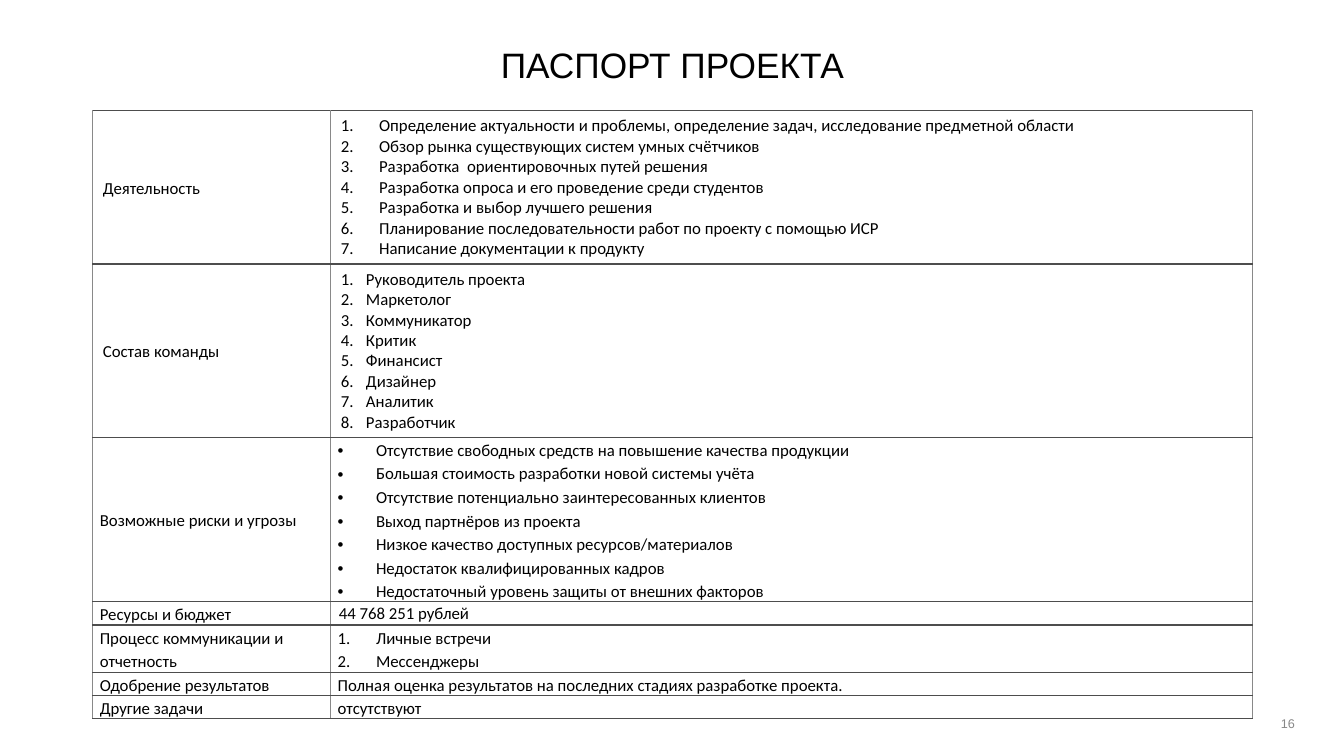
"""Build the project passport slide: a title, a two-column table and a page number."""
from lxml.etree import SubElement
from pptx import Presentation
from pptx.dml.color import RGBColor
from pptx.enum.text import MSO_ANCHOR, PP_ALIGN
from pptx.oxml.ns import qn
from pptx.util import Inches, Pt

TITLE = "ПАСПОРТ ПРОЕКТА"
PAGE_NUMBER = "16"
ROOMY, TIGHT, BUDGET = (0.1, 0.05), (0.07, 0), (0.08, 0.01)
NUMBERS, DOTS = "buAutoNum", "buChar"
COLUMN_WIDTHS = (2.36, 9.14)
BORDERS = {"lnL": "898989", "lnR": "898989", "lnT": "4D4D4D", "lnB": "4D4D4D"}

# label, lines, row height, label margins, line margins, list kind, indent, line spacing
ROWS = [
    ("Деятельность", [
        "Определение актуальности и проблемы, определение задач, исследование предметной области",
        "Обзор рынка существующих систем умных счётчиков",
        "Разработка  ориентировочных путей решения",
        "Разработка опроса и его проведение среди студентов",
        "Разработка и выбор лучшего решения",
        "Планирование последовательности работ по проекту с помощью ИСР",
        "Написание документации к продукту",
    ], 1.52, ROOMY, ROOMY, NUMBERS, 0.38, 1.0),
    ("Состав команды", [
        "Руководитель проекта", "Маркетолог", "Коммуникатор", "Критик",
        "Финансист", "Дизайнер", "Аналитик", "Разработчик",
    ], 1.72, ROOMY, ROOMY, NUMBERS, 0.25, 1.0),
    ("Возможные риски и угрозы", [
        "Отсутствие свободных средств на повышение качества продукции",
        "Большая стоимость разработки новой системы учёта",
        "Отсутствие потенциально заинтересованных клиентов",
        "Выход партнёров из проекта",
        "Низкое качество доступных ресурсов/материалов",
        "Недостаток квалифицированных кадров",
        "Недостаточный уровень защиты от внешних факторов",
    ], 1.63, TIGHT, TIGHT, DOTS, 0.38, 1.15),
    ("Ресурсы и бюджет", ["44 768 251 рублей"],
     0.23, TIGHT, BUDGET, None, 0, 1.0),
    ("Процесс коммуникации и отчетность", ["Личные встречи", "Мессенджеры"],
     0.47, TIGHT, TIGHT, NUMBERS, 0.38, 1.15),
    ("Одобрение результатов",
     ["Полная оценка результатов на последних стадиях разработке проекта."],
     0.23, TIGHT, TIGHT, None, 0, 1.15),
    ("Другие задачи", ["отсутствуют"], 0.23, TIGHT, TIGHT, None, 0, 1.15),
]


def color(value):
    return RGBColor.from_string(value)


def style(para, name, size, ink, spacing):
    para.line_spacing = spacing
    para.font.name, para.font.size = name, Pt(size)
    para.font.color.rgb = color(ink)


def add_bullet(para, kind, indent):
    properties = para._p.get_or_add_pPr()
    properties.set("marL", str(Inches(indent)))
    properties.set("indent", str(-Inches(indent)))
    tint = SubElement(properties, qn("a:buClr"))
    SubElement(tint, qn("a:srgbClr"), val="000000")
    if kind == DOTS:
        SubElement(properties, qn("a:buFont"), typeface="Arial")
        SubElement(properties, qn("a:buChar"), char="•")
    else:
        SubElement(properties, qn("a:buFont"), typeface="Calibri")
        SubElement(properties, qn("a:buAutoNum"), type="arabicPeriod")


def add_borders(cell):
    properties = cell._tc.get_or_add_tcPr()
    for side, ink in BORDERS.items():
        line = SubElement(properties, qn("a:" + side), w=str(Pt(1)))
        fill = SubElement(line, qn("a:solidFill"))
        SubElement(fill, qn("a:srgbClr"), val=ink)


def fill_cell(cell, lines, margins, kind, indent, spacing):
    add_borders(cell)
    cell.fill.solid()
    cell.fill.fore_color.rgb = color("FFFFFF")
    cell.vertical_anchor = MSO_ANCHOR.MIDDLE
    cell.margin_left = cell.margin_right = Inches(margins[0])
    cell.margin_top = cell.margin_bottom = Inches(margins[1])
    cell.text_frame.text = "\n".join(lines)
    for para in cell.text_frame.paragraphs:
        if kind:
            add_bullet(para, kind, indent)
        style(para, "Calibri", 12, "000000", spacing)


def add_label(page, text, place, size, ink, align, anchor, top_margin, spacing):
    box = page.shapes.add_textbox(*map(Inches, place))
    frame = box.text_frame
    frame.word_wrap = True
    frame.vertical_anchor = anchor
    frame.margin_top = Inches(top_margin)
    frame.text = text
    para = frame.paragraphs[0]
    para.alignment = align
    style(para, "Arial", size, ink, spacing)


def add_passport(page):
    heights = [row[2] for row in ROWS]
    frame = page.shapes.add_table(
        len(ROWS), len(COLUMN_WIDTHS), Inches(0.92), Inches(1.1),
        Inches(sum(COLUMN_WIDTHS)), Inches(sum(heights)))
    table = frame.table
    table.first_row = table.horz_banding = False
    for column, width in zip(table.columns, COLUMN_WIDTHS):
        column.width = Inches(width)
    for row, content in zip(table.rows, ROWS):
        label, lines, height, label_margins, margins, kind, indent, spacing = content
        row.height = Inches(height)
        fill_cell(row.cells[0], [label], label_margins, None, 0, 1.15)
        fill_cell(row.cells[1], lines, margins, kind, indent, spacing)


def main():
    deck = Presentation()
    deck.slide_width, deck.slide_height = Inches(13.33), Inches(7.5)
    page = deck.slides.add_slide(deck.slide_layouts[6])
    add_label(page, TITLE, (0.92, 0.46, 11.5, 0.78), 25.2, "000000",
              PP_ALIGN.CENTER, MSO_ANCHOR.TOP, 0.02, 0.9)
    add_label(page, PAGE_NUMBER, (9.94, 6.98, 3, 0.4), 9, "888888",
              PP_ALIGN.RIGHT, MSO_ANCHOR.MIDDLE, 0.05, 1.0)
    add_passport(page)
    deck.save("out.pptx")


if __name__ == "__main__":
    main()
